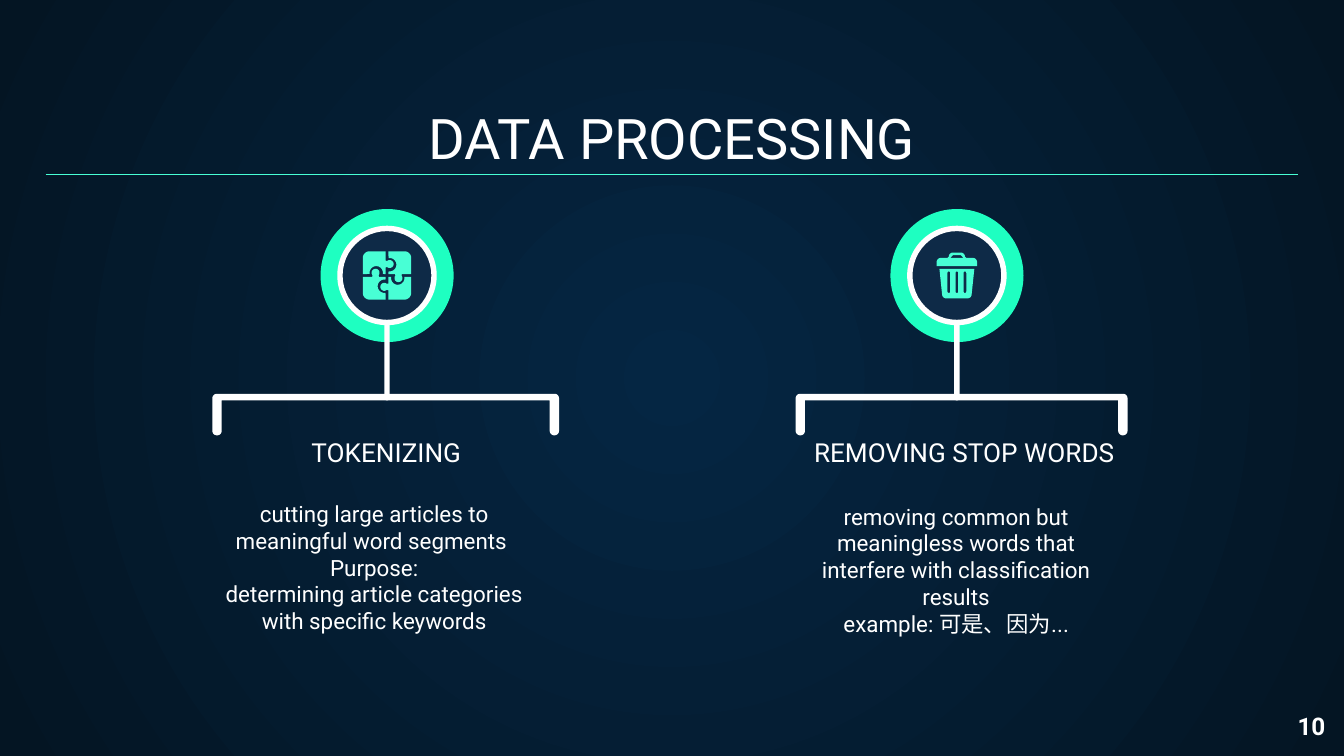
from math import cos, radians, sin
from lxml import etree
from pptx import Presentation
from pptx import util as u
from pptx.dml.color import RGBColor
from pptx.enum import shapes, text
from pptx.oxml.ns import qn

THEME = {
    "font": "Roboto", "white": "FFFFFF", "ring": "1EFFC1", "accent": "48FFD5",
    "disc": "0E2A47", "glow": "052643", "edge": "041523",
    "title": 30, "heading": 14, "body": 12, "number": 13,
}
TITLE = ("DATA PROCESSING", (0.34, 0.71, 9.32, 0.66))
NUMBER = ("10", (9.36, 5.19, 0.6, 0.43))
STEPS = [
    {"icon": "puzzle", "center": 2.88, "bracket": (1.58, 4.16),
     "heading": ("TOKENIZING", (1.74, 3.28, 2.27, 0.3)),
     "body": (["cutting large articles to meaningful word segments ", "Purpose:",
               "determining article categories with specific keywords"],
              (1.55, 3.62, 2.47, 2))},
    {"icon": "bin", "center": 7.12, "bracket": (5.92, 8.39),
     "heading": ("REMOVING STOP WORDS", (5.5, 3.37, 3.35, 0.21)),
     "body": (["removing common but meaningless words that interfere with "
               "classification results", "example: 可是、因为..."],
              (5.98, 3.64, 2.27, 1.25))},
]
CIRCLE_Y, BRACKET_TOP, BRACKET_BOTTOM = 2.05, 2.93, 3.24


def color(name):
    return RGBColor.from_string(THEME[name])


def inches(values):
    return [u.Inches(value) for value in values]


def arc(x, y, radius, start, end, steps=10):
    angles = [radians(start + (end - start) * i / steps) for i in range(steps + 1)]
    return [(x + radius * cos(a), y + radius * sin(a)) for a in angles]


def puzzle_piece():
    return [[(0.01, -0.18), *arc(0.13, -0.13, 0.05, 270, 360), (0.18, -0.01),
             (0.11, -0.01), *arc(0.085, 0.02, 0.03, -40, 220), (0.06, -0.01),
             (0.01, -0.01), *arc(0.02, -0.08, 0.05, 100, -100)]]


def quarter_turns(contours, turns):
    for _ in range(turns):
        contours = [[(-y, x) for x, y in points] for points in contours]
    return contours


def bin_lid():
    return [[(-0.15, -0.07), *arc(-0.12, -0.1, 0.03, 180, 270), (-0.07, -0.13),
             *arc(-0.03, -0.14, 0.03, 180, 270), *arc(0.03, -0.14, 0.03, 270, 360),
             (0.07, -0.13), *arc(0.12, -0.1, 0.03, 270, 360), (0.15, -0.07)],
            [(-0.05, -0.13), (-0.03, -0.15), (0.03, -0.15), (0.05, -0.13)]]


def bin_body():
    slots = [arc(x, -0.02, 0.01, 180, 360) + arc(x, 0.12, 0.01, 0, 180)
             for x in (-0.06, 0, 0.06)]
    return [[(-0.13, -0.05), (0.13, -0.05), *arc(0.08, 0.14, 0.03, 0, 90),
             *arc(-0.08, 0.14, 0.03, 90, 180)], *slots]


def bracket(left, right):
    radius = 0.035
    top, bottom = BRACKET_TOP + radius, BRACKET_BOTTOM - radius
    bar = BRACKET_TOP + 0.05
    return [[*arc(left + radius, top, radius, 180, 270),
             *arc(right - radius, top, radius, 270, 360),
             *arc(right - radius, bottom, radius, 0, 180),
             (right - 2 * radius, bar), (left + 2 * radius, bar),
             *arc(left + radius, bottom, radius, 0, 180)]]


ICONS = {
    "puzzle": [quarter_turns(puzzle_piece(), turns) for turns in range(4)],
    "bin": [bin_lid(), bin_body()],
}


def paint(shape, fill):
    shape.shadow.inherit = False
    shape.fill.solid()
    shape.fill.fore_color.rgb = color(fill)
    shape.line.fill.background()
    return shape


def add_outline(page, contours, fill, origin=(0, 0)):
    builder = None
    for points in contours:
        placed = [inches((x + origin[0], y + origin[1])) for x, y in points]
        if builder is None:
            builder = page.shapes.build_freeform(*placed[0])
        else:
            builder.move_to(*placed[0])
        builder.add_line_segments(placed[1:], close=True)
    return paint(builder.convert_to_shape(), fill)


def add_centered(page, kind, x, y, width, height, fill):
    place = inches((x - width / 2, y - height / 2, width, height))
    return paint(page.shapes.add_shape(kind, *place), fill)


def write(box, lines, place, size, anchor="TOP", align="CENTER", bold=False):
    for name, value in zip(("left", "top", "width", "height"), inches(place)):
        setattr(box, name, value)
    frame = box.text_frame
    frame.text = "\n".join(lines)
    sides = ("left", "top", "right", "bottom")
    layout = {f"margin_{side}": u.Inches(0.1) for side in sides}
    layout.update(word_wrap=True, auto_size=text.MSO_AUTO_SIZE.NONE,
                  vertical_anchor=text.MSO_ANCHOR[anchor])
    for name, value in layout.items():
        setattr(frame, name, value)
    for para in frame.paragraphs:
        para.alignment = text.PP_ALIGN[align]
        for span in para.runs:
            look = {"name": THEME["font"], "size": u.Pt(THEME[size]), "bold": bold}
            for name, value in look.items():
                setattr(span.font, name, value)
            span.font.color.rgb = color("white")


def add_text(page, lines, place, size, **options):
    write(page.shapes.add_textbox(*inches(place)), lines, place, size, **options)


def add_background(page):
    fill = page.background.fill
    fill.gradient()
    for stop, name in zip(fill.gradient_stops, ("glow", "edge")):
        stop.color.rgb = color(name)
    gradient = next(page.element.iter(qn("a:gradFill")))
    gradient.remove(gradient.find(qn("a:lin")))
    focus = etree.SubElement(gradient, qn("a:path"), {"path": "circle"})
    etree.SubElement(focus, qn("a:fillToRect"), dict.fromkeys("ltrb", "50000"))


def add_rule(page):
    rule = page.shapes.add_connector(shapes.MSO_CONNECTOR.STRAIGHT,
                                     *inches((0.34, 1.3, 9.66, 1.3)))
    rule.line.color.rgb = color("accent")
    rule.line.width = u.Pt(0.75)
    etree.SubElement(rule.element.spPr, qn("a:effectLst"))


def add_step(page, step):
    kinds, x = shapes.MSO_SHAPE, step["center"]
    body, body_place = step["body"]
    heading, heading_place = step["heading"]
    add_text(page, body, body_place, "body")
    add_text(page, [heading], heading_place, "heading", anchor="BOTTOM")
    add_outline(page, bracket(*step["bracket"]), "white")
    add_centered(page, kinds.OVAL, x, CIRCLE_Y, 0.99, 0.99, "ring")
    stem = add_centered(page, kinds.ROUNDED_RECTANGLE, x, 2.48, 0.04, 1, "white")
    stem.adjustments[0] = 0.5
    add_centered(page, kinds.OVAL, x, CIRCLE_Y, 0.7, 0.7, "disc")
    rim = add_centered(page, kinds.DONUT, x, CIRCLE_Y, 0.74, 0.74, "white")
    rim.adjustments[0] = 0.04 / 0.74
    for contours in ICONS[step["icon"]]:
        add_outline(page, contours, "accent", (x, CIRCLE_Y))


def main():
    deck = Presentation()
    deck.slide_width = u.Inches(10)
    deck.slide_height = deck.slide_width * 9 // 16
    page = deck.slides.add_slide(deck.slide_layouts.get_by_name("Title Only"))
    add_background(page)
    title, title_place = TITLE
    write(page.shapes.title, [title], title_place, "title", anchor="BOTTOM")
    add_rule(page)
    for step in STEPS:
        add_step(page, step)
    number, number_place = NUMBER
    add_text(page, [number], number_place, "number", align="RIGHT", bold=True)
    deck.save("out.pptx")


if __name__ == "__main__":
    main()
